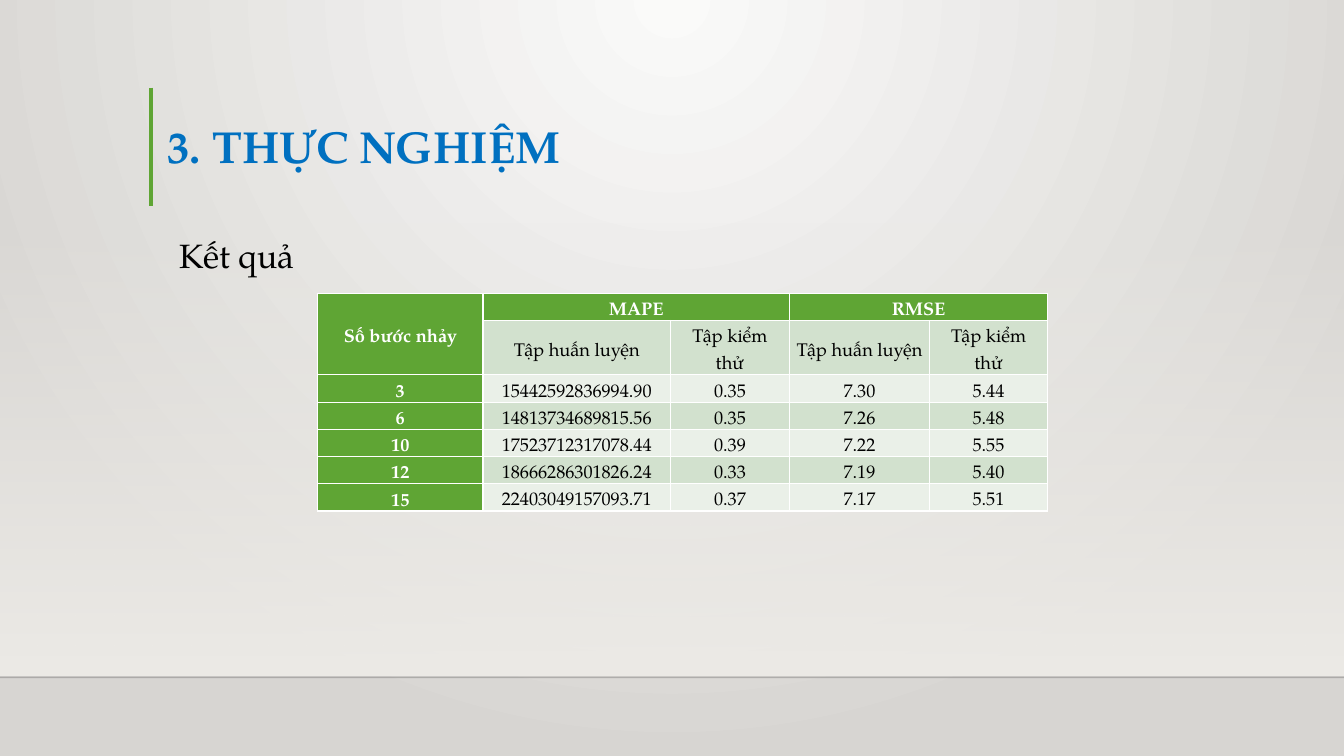
from dataclasses import dataclass

from lxml import etree
from pptx import Presentation
from pptx import util as u
from pptx.dml.color import RGBColor
from pptx.enum import shapes, text
from pptx.oxml import ns


@dataclass(frozen=True)
class Theme:
    font: str = "TeX Gyre Pagella"
    title: str = "0070C0"
    green: str = "5FA534"
    bands: tuple = ("EAF0E8", "D2E1CE")
    back: tuple = ("FAFAF9", "D7D5D2")
    glow: str = "EDEBE7"
    rule: str = "000001"
    ink: str = "000000"
    white: str = "FFFFFF"
    title_size: int = 32
    body_size: int = 24
    cell_size: int = 13


THEME = Theme()
HEADS = [["Số bước nhảy", "MAPE", "", "RMSE", ""],
         ["", *["Tập huấn luyện", "Tập kiểm thử"] * 2]]
RESULTS = [
    ["3", "15442592836994.90", "0.35", "7.30", "5.44"],
    ["6", "14813734689815.56", "0.35", "7.26", "5.48"],
    ["10", "17523712317078.44", "0.39", "7.22", "5.55"],
    ["12", "18666286301826.24", "0.33", "7.19", "5.40"],
    ["15", "22403049157093.71", "0.37", "7.17", "5.51"],
]
WIDTHS = [1.64, 1.86, 1.18, 1.39, 1.17]


def rgb(code):
    return RGBColor.from_string(code)


def add_child(node, tag, **attrs):
    return etree.SubElement(node, ns.qn(tag), attrs)


def set_alpha(node, percent):
    """Set the opacity of the first colour inside node."""
    color = next(node.iter(ns.qn("a:srgbClr")))
    add_child(color, "a:alpha", val=str(percent * 1000))


def blend(fill, colors):
    fill.gradient()
    for stop, color in zip(fill.gradient_stops, colors):
        stop.color.rgb = rgb(color)


def paint_back(slide):
    """Fill the background with a round gradient centred on the top edge."""
    fill = slide.background.fill
    blend(fill, THEME.back)
    grad = next(slide.element.iter(ns.qn("a:gradFill")))
    grad.remove(grad.find(ns.qn("a:lin")))
    ring = add_child(grad, "a:path", path="circle")
    add_child(ring, "a:fillToRect", l="43000", t="0", r="43000", b="100000")


def add_glow(slide):
    """Add the band that fades in downwards, behind all else."""
    glow = slide.shapes.add_shape(
        shapes.MSO_SHAPE.RECTANGLE, 0, u.Inches(2.2), u.Inches(13.33), u.Inches(4.5))
    glow.shadow.inherit = False
    glow.line.fill.background()
    blend(glow.fill, [THEME.glow] * 2)
    glow.fill.gradient_angle = 270
    set_alpha(glow.element.spPr, 0)
    slide.shapes.element.insert(2, glow.element)


def add_line(slide, start, end, color, width, alpha=100):
    line = slide.shapes.add_connector(
        shapes.MSO_CONNECTOR.STRAIGHT, *map(u.Inches, start + end))
    line.line.color.rgb = rgb(color)
    line.line.width = u.Pt(width)
    if alpha < 100:
        set_alpha(line.element.spPr, alpha)
    add_child(line.element.spPr, "a:effectLst")


def style(para, size, color, bold, align, spacing):
    para.font.name = THEME.font
    para.font.size = u.Pt(size)
    para.font.color.rgb = rgb(color)
    para.font.bold = bold
    para.alignment = align
    para.line_spacing = spacing


def fill_holder(holder, box, words, size, color, bold, anchor, spacing):
    """Move a placeholder and write one left-aligned paragraph in it."""
    holder.left, holder.top, holder.width, holder.height = map(u.Inches, box)
    frame = holder.text_frame
    frame.text = words
    frame.word_wrap = True
    frame.auto_size = text.MSO_AUTO_SIZE.NONE
    frame.vertical_anchor = anchor
    para = frame.paragraphs[0]
    style(para, size, color, bold, text.PP_ALIGN.LEFT, spacing)
    return para


def fill_cell(cell, words, fill, color, bold):
    cell.text = words
    cell.fill.solid()
    cell.fill.fore_color.rgb = rgb(fill)
    cell.vertical_anchor = text.MSO_ANCHOR.MIDDLE
    cell.margin_left = cell.margin_right = u.Inches(0.07)
    cell.margin_top = cell.margin_bottom = 0
    style(cell.text_frame.paragraphs[0], THEME.cell_size, color, bold,
          text.PP_ALIGN.CENTER, 1.5)


def add_results(slide):
    rows = HEADS + RESULTS
    table = slide.shapes.add_table(
        len(rows), len(WIDTHS), u.Inches(3.15), u.Inches(2.91),
        u.Inches(sum(WIDTHS)), u.Inches(2.16)).table
    table.first_col = True
    for col, width in zip(table.columns, WIDTHS):
        col.width = u.Inches(width)
    for r, row in enumerate(rows):
        table.rows[r].height = u.Inches(0.54 if r == 1 else 0.27)
        for c, words in enumerate(row):
            head = r == 0 or c == 0
            fill = THEME.green if head else THEME.bands[r % 2]
            color = THEME.white if head else THEME.ink
            fill_cell(table.cell(r, c), words, fill, color, head)
    for first, last in [((0, 0), (1, 0)), ((0, 1), (0, 2)), ((0, 3), (0, 4))]:
        table.cell(*first).merge(table.cell(*last))


def main():
    deck = Presentation()
    deck.slide_width, deck.slide_height = u.Inches(13.33), u.Inches(7.5)
    slide = deck.slides.add_slide(deck.slide_layouts[1])
    paint_back(slide)
    add_glow(slide)
    add_line(slide, (0, 6.72), (13.33, 6.72), THEME.rule, 1, 20)
    add_line(slide, (1.5, 0.87), (1.5, 2.04), THEME.green, 3)
    title, body = slide.placeholders
    fill_holder(title, (1.56, 1.1, 10.41, 0.67), "3. THỰC NGHIỆM", THEME.title_size,
                THEME.title, True, text.MSO_ANCHOR.BOTTOM, 0.9)
    para = fill_holder(body, (1.68, 2.2, 10.41, 3.77), "Kết quả", THEME.body_size,
                       THEME.ink, False, text.MSO_ANCHOR.TOP, 1.2)
    para.space_before = u.Pt(10)
    props = para.font._element
    level = props.getparent()
    level.set("marL", "0")
    level.set("indent", "0")
    props.addprevious(etree.Element(ns.qn("a:buNone")))
    add_results(slide)
    deck.save("out.pptx")


if __name__ == "__main__":
    main()
